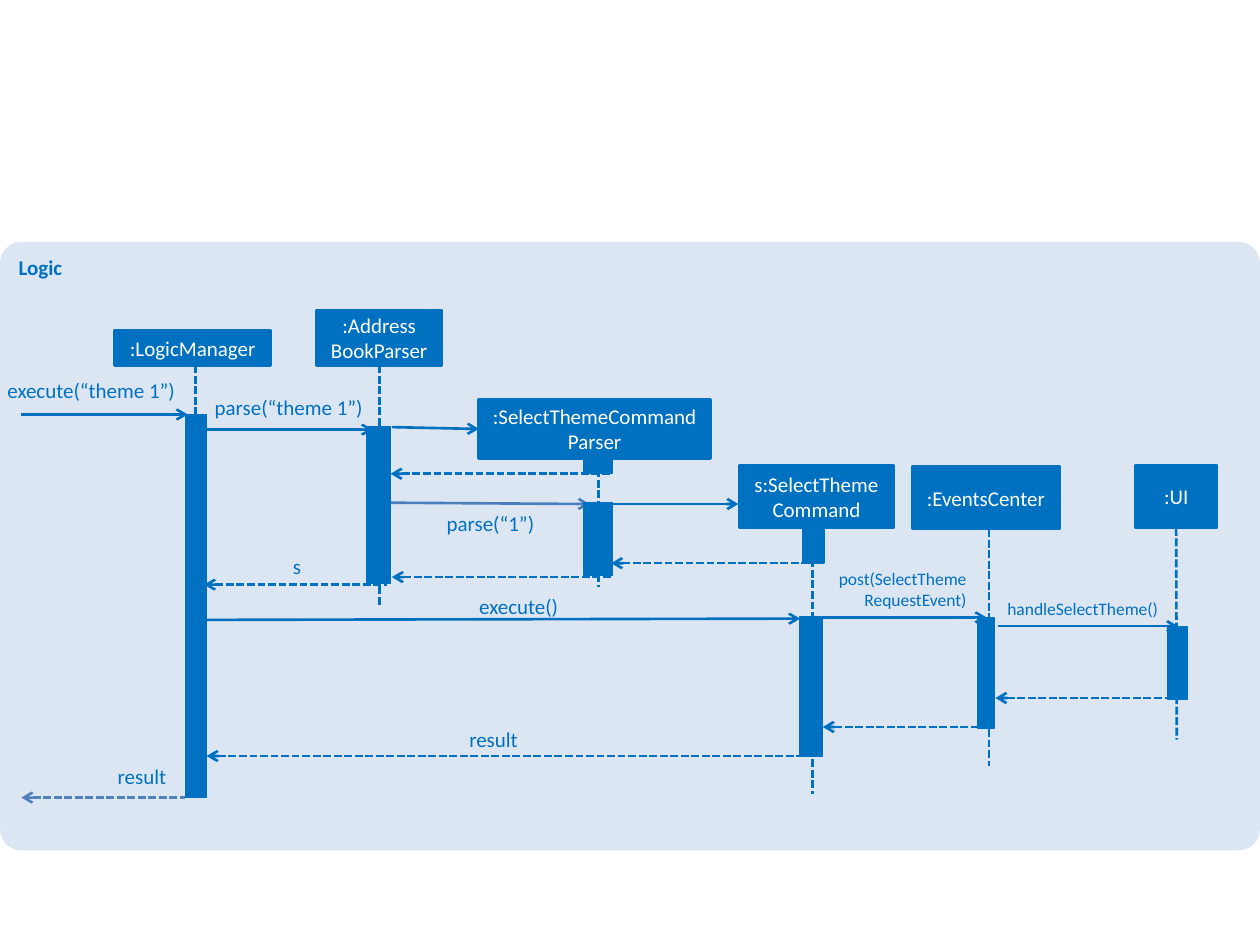
"""Build a sequence diagram of the theme command passing through the Logic component."""
from lxml import etree
from pptx import Presentation
from pptx.dml.color import RGBColor
from pptx.enum.dml import MSO_LINE
from pptx.enum.shapes import MSO_CONNECTOR, MSO_SHAPE
from pptx.enum.text import MSO_ANCHOR, MSO_AUTO_SIZE, PP_ALIGN
from pptx.oxml.ns import qn
from pptx.util import Inches, Pt

STRAIGHT = MSO_CONNECTOR.STRAIGHT
RECT, ROUNDED = MSO_SHAPE.RECTANGLE, MSO_SHAPE.ROUNDED_RECTANGLE
TOP, MIDDLE = MSO_ANCHOR.TOP, MSO_ANCHOR.MIDDLE
LEFT, CENTER, RIGHT = PP_ALIGN.LEFT, PP_ALIGN.CENTER, PP_ALIGN.RIGHT
DASH, FIT = MSO_LINE.SQUARE_DOT, MSO_AUTO_SIZE.SHAPE_TO_FIT_TEXT
LEFT_SIDE, BOTTOM_SIDE = 1, 2

THEME = {
    "font": "Calibri",
    "blue": RGBColor(0x00, 0x70, 0xC0),
    "soft": RGBColor(0x4B, 0x7E, 0xBC),
    "reply": RGBColor(0x4F, 0x81, 0xBD),
    "panel": RGBColor(0xDC, 0xE6, 0xF2),
    "white": RGBColor(0xFF, 0xFF, 0xFF),
    "body": Pt(12),
    "small": Pt(10),
    "stroke": Pt(1.5),
    "thin": Pt(0.75),
}

deck = Presentation()
deck.slide_width, deck.slide_height = Inches(10), Inches(7.5)
page = deck.slides.add_slide(deck.slide_layouts[6])


def write(box, text, color, align, size="body", bold=False, **frame_format):
    frame = box.text_frame
    frame.text = text
    for name, value in {"word_wrap": True, **frame_format}.items():
        setattr(frame, name, value)
    for para in frame.paragraphs:
        para.alignment = align
        for span in para.runs:
            values = {"name": THEME["font"], "size": THEME[size], "bold": bold}
            for name, value in values.items():
                setattr(span.font, name, value)
            span.font.color.rgb = THEME[color]


def draw_line(start, end, color="blue", dashed=False, arrow=None):
    line = page.shapes.add_connector(STRAIGHT, *map(Inches, start + end))
    line.line.color.rgb = THEME[color]
    line.line.width = THEME["stroke"]
    if dashed:
        line.line.dash_style = DASH
    if arrow:
        stroke = line.line._get_or_add_ln()
        etree.SubElement(stroke, qn(f"a:{arrow}"), type="arrow")
    etree.SubElement(line._element.spPr, qn("a:effectLst"))
    return line


panel = page.shapes.add_shape(ROUNDED, *map(Inches, (0, 1.92, 10, 4.83)))
panel.adjustments[0] = 0.035
panel.shadow.inherit = False
panel.fill.solid()
panel.fill.fore_color.rgb = THEME["panel"]
panel.line.fill.background()
write(panel, "Logic", "blue", LEFT, bold=True, vertical_anchor=TOP)

participants = [
    (":LogicManager", 0.91, 2.62, 1.24, 0.28, 1.55, 5.75),
    (":Address\nBookParser", 2.51, 2.46, 1, 0.44, 3.01, 4.81),
    (":SelectThemeCommand\nParser", 3.8, 3.17, 1.84, 0.47, 4.75, 4.66),
    ("s:SelectTheme\vCommand", 5.87, 3.69, 1.22, 0.5, 6.45, 6.3),
    (":EventsCenter", 7.24, 3.7, 1.17, 0.5, 7.85, 6.08),
    (":UI", 9.01, 3.69, 0.65, 0.5, 9.34, 5.87),
]
heads = {}
for name, left, top, width, height, life_x, life_end in participants:
    head = page.shapes.add_shape(RECT, *map(Inches, (left, top, width, height)))
    head.shadow.inherit = False
    head.fill.solid()
    head.fill.fore_color.rgb = THEME["blue"]
    head.line.color.rgb = THEME["blue"]
    head.line.width = THEME["stroke"]
    write(head, name, "white", CENTER, vertical_anchor=MIDDLE,
          margin_left=Inches(0.05), margin_right=Inches(0.05))
    heads[name] = head
    lifeline = draw_line((life_x, top + height), (life_x, life_end), dashed=True)
    if abs(left + width / 2 - life_x) < 0.01:
        lifeline.begin_connect(head, BOTTOM_SIDE)

calls = [
    ((0.17, 3.29), (1.49, 3.29), "blue"),
    ((1.64, 3.41), (2.96, 3.41), "blue"),
    ((3.1, 3.99), (4.68, 4), "soft"),
    ((4.85, 4), (5.86, 4), "blue"),
    ((1.64, 4.92), (6.35, 4.91), "blue"),
    ((6.53, 4.9), (7.83, 4.9), "blue"),
    ((7.92, 4.97), (9.35, 4.97), "blue"),
]
for start, end, color in calls:
    draw_line(start, end, color, arrow="tailEnd")
creation = draw_line((3.11, 3.39), (3.8, 3.4), arrow="tailEnd")
creation.end_connect(heads[":SelectThemeCommand\nParser"], LEFT_SIDE)

returns = [
    (3.1, 4.85, 3.76, "blue"),
    (4.85, 6.45, 4.47, "blue"),
    (3.11, 4.85, 4.58, "blue"),
    (1.62, 3.07, 4.64, "blue"),
    (7.9, 9.35, 5.54, "blue"),
    (6.53, 7.83, 5.77, "blue"),
    (1.64, 6.44, 6, "blue"),
    (0.17, 1.47, 6.33, "reply"),
]
for left, right, y, color in returns:
    draw_line((left, y), (right, y), color, dashed=True, arrow="headEnd")

activations = [
    (1.47, 3.29, 0.17, 3.04),
    (2.91, 3.39, 0.19, 1.24),
    (4.63, 3.63, 0.23, 0.13),
    (4.63, 3.99, 0.23, 0.58),
    (6.37, 4.17, 0.17, 0.3),
    (6.35, 4.89, 0.18, 1.11),
    (7.76, 4.9, 0.13, 0.88),
    (9.27, 4.97, 0.15, 0.58),
]
for bounds in activations:
    bar = page.shapes.add_shape(RECT, *map(Inches, bounds))
    bar.shadow.inherit = False
    bar.fill.solid()
    bar.fill.fore_color.rgb = THEME["blue"]
    bar.line.color.rgb = THEME["blue"]
    bar.line.width = THEME["thin"]

labels = [
    ("execute(“theme 1”)", -0.17, 3, 1.56, 0.2, "body"),
    ("parse(“theme 1”)", 1.32, 3.13, 1.56, 0.2, "body"),
    ("parse(“1”)", 3.4, 4.05, 0.84, 0.2, "body"),
    ("s", 2.15, 4.39, 0.24, 0.2, "body"),
    ("execute()", 3.49, 4.71, 0.94, 0.2, "body"),
    ("post(SelectTheme\nRequestEvent)", 5.91, 4.51, 1.76, 0.34, "small"),
    ("handleSelectTheme()", 7.43, 4.75, 1.76, 0.17, "small"),
    ("result", 3.43, 5.77, 0.68, 0.2, "body"),
    ("result", 0.49, 6.06, 0.83, 0.2, "body"),
]
for text, left, top, width, height, size in labels:
    label = page.shapes.add_textbox(*map(Inches, (left, top, width, height)))
    write(label, text, "blue", RIGHT, size, auto_size=FIT,
          margin_left=0, margin_top=0, margin_right=0, margin_bottom=0)

deck.save("out.pptx")
